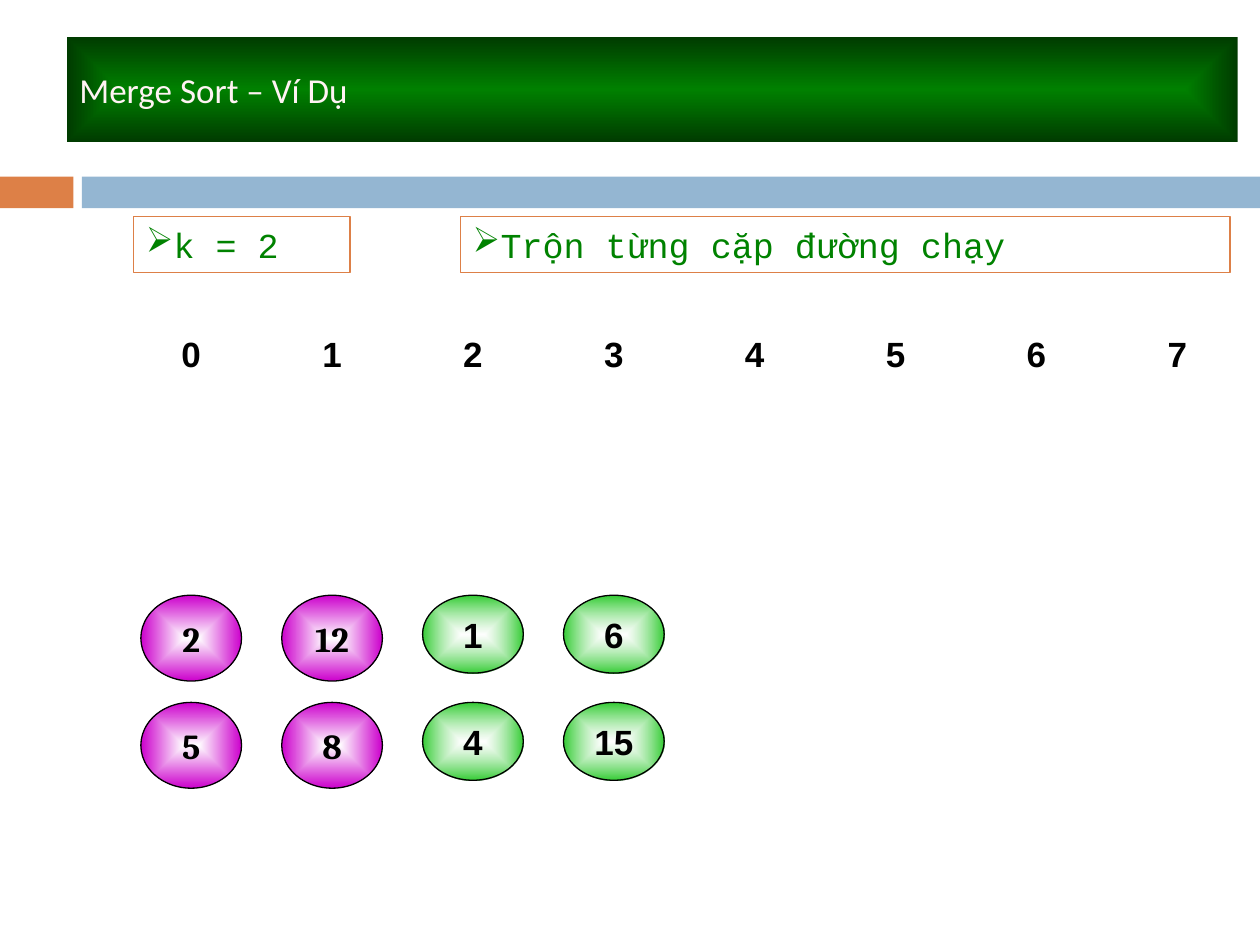
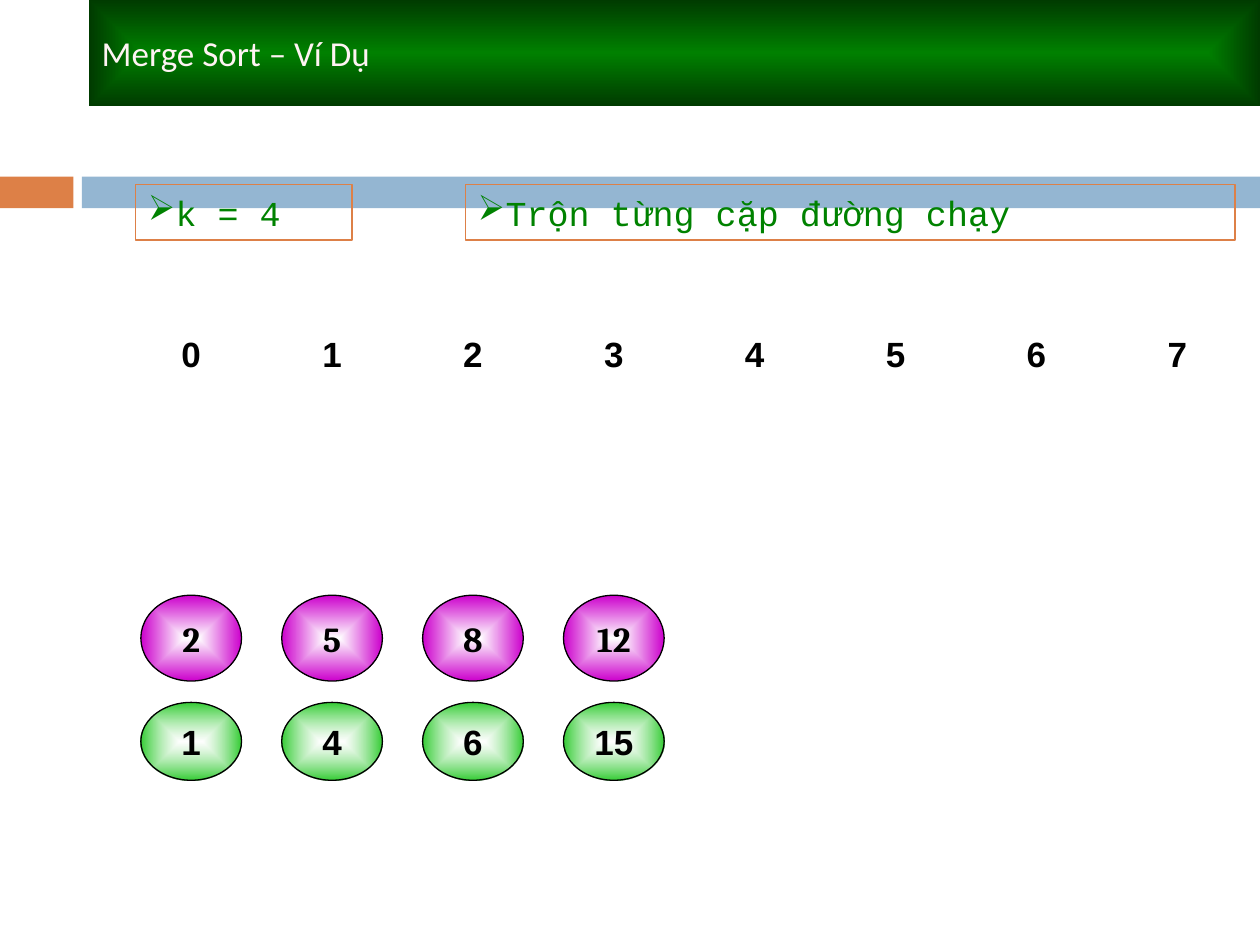
from dataclasses import dataclass
from typing import Optional

from lxml.etree import SubElement as Sub
from pptx import Presentation
from pptx.dml.color import RGBColor as Rgb
from pptx.enum.shapes import MSO_SHAPE as Kind
from pptx.enum.text import MSO_ANCHOR as Anchor, PP_ALIGN as Align
from pptx.oxml.ns import qn
from pptx.shapes.autoshape import Shape
from pptx.util import Cm, Pt

BLACK, ORANGE, BLUE = "000000", "DD8047", "94B6D2"
PALE, GREEN = "FFF3F3", "008200"
LEFT, STEP, WIDE = 2.84, 2.84, 2.03
ROWS = (12.0, 14.16)


@dataclass(frozen=True)
class Glow:
    """A gradient that runs from the centre to the edges."""
    inner: str
    outer: str
    alpha: int = 100


@dataclass(frozen=True)
class Run:
    """The look of the balls of one sorted run."""
    glow: Glow
    font: str
    high: float


@dataclass(frozen=True)
class Ball:
    """A number at a grid place, coloured by its run."""
    text: str
    col: int
    row: int
    run: Run


@dataclass(frozen=True)
class Page:
    """One merge step: where its title and notes sit, and its balls."""
    size: int
    title: tuple[float, float]
    notes: tuple[float, float]
    top: float
    balls: list[Ball]


BAR = Glow("008000", "003B00")
PINK = Run(Glow("FFFFFF", "CC00CC"), "Cambria", 1.73)
LIME = Run(Glow("FFFFFF", "33CC33", 60), "Arial", 1.57)


def tint(code: str) -> Rgb:
    """Turn a hex string into a colour."""
    return Rgb.from_string(code)


def shine(shape: Shape, glow: Glow) -> None:
    """Fill a shape with a rectangular gradient."""
    shape.fill.gradient()
    grad = shape._element.spPr.find(qn("a:gradFill"))
    for part in list(grad):
        grad.remove(part)
    stops = Sub(grad, qn("a:gsLst"))
    for pos, code, alpha in ((0, glow.inner, glow.alpha), (100, glow.outer, 100)):
        stop = Sub(stops, qn("a:gs"), pos=str(pos * 1000))
        paint = Sub(stop, qn("a:srgbClr"), val=code)
        if alpha < 100:
            Sub(paint, qn("a:alpha"), val=str(alpha * 1000))
    way = Sub(grad, qn("a:path"), path="rect")
    Sub(way, qn("a:fillToRect"), l="50000", t="50000", r="50000", b="50000")


def draw(shapes, kind: Kind, x: float, y: float, w: float, h: float,
         fill: Optional[str | Glow] = None, line: Optional[str] = None) -> Shape:
    """Add a preset shape with its fill and line, in centimetres."""
    shape = shapes.add_shape(kind, Cm(x), Cm(y), Cm(w), Cm(h))
    shape.shadow.inherit = False
    if isinstance(fill, Glow):
        shine(shape, fill)
    elif fill:
        shape.fill.solid()
        shape.fill.fore_color.rgb = tint(fill)
    else:
        shape.fill.background()
    if line:
        shape.line.color.rgb = tint(line)
        shape.line.width = Pt(0.75)
    else:
        shape.line.fill.background()
    return shape


def write(shape: Shape, text: str, *, font: str = "Arial", color: str = BLACK,
          bold: bool = False, align: Align = Align.LEFT, wrap: bool = True,
          mark: str = "") -> None:
    """Put formatted text in a shape, with a bullet if one is given."""
    frame = shape.text_frame
    frame.word_wrap = wrap
    frame.vertical_anchor = Anchor.MIDDLE
    para = frame.paragraphs[0]
    para.alignment = align
    if mark:
        props = para._p.get_or_add_pPr()
        props.set("marL", "0")
        props.set("indent", "0")
        Sub(Sub(props, qn("a:buClr")), qn("a:srgbClr"), val=color)
        Sub(props, qn("a:buChar"), char=mark)
    run = para.add_run()
    run.text = text
    run.font.name = font
    run.font.size = Pt(20)
    run.font.bold = bold
    run.font.color.rgb = tint(color)


def label(shapes, text: str, col: int, top: float, high: float,
          font: str = "Arial", **look) -> None:
    """Draw a bold number in an oval at a grid column."""
    oval = draw(shapes, Kind.OVAL, LEFT + col * STEP, top, WIDE, high, **look)
    write(oval, text, font=font, bold=True, align=Align.CENTER, wrap=False)


def bands(shapes) -> None:
    """Draw the two bands that all slides share."""
    draw(shapes, Kind.RECTANGLE, 0, 3.56, 1.48, 0.64, ORANGE)
    draw(shapes, Kind.RECTANGLE, 1.65, 3.56, 23.75, 0.64, BLUE)


def build(deck, page: Page) -> None:
    """Build the slide of one merge step."""
    shapes = deck.slides.add_slide(deck.slide_layouts[6]).shapes
    bands(shapes)
    for ball in page.balls:
        label(shapes, ball.text, ball.col, ROWS[ball.row], ball.run.high,
              ball.run.font, fill=ball.run.glow, line=BLACK)
    index = shapes.add_group_shape().shapes
    for col in range(8):
        label(index, str(col), col, 6.35, 1.57)
    title = draw(shapes, Kind.RECTANGLE, *page.title, 23.6, 2.13, BAR)
    write(title, "Merge Sort – Ví Dụ", font="Calibri", color=PALE)
    texts = (f"k = {page.size}", "Trộn từng cặp đường chạy")
    for x, w, text in zip(page.notes, (4.37, 15.52), texts):
        note = draw(shapes, Kind.RECTANGLE, x, page.top, w, 1.12, line=ORANGE)
        write(note, text, font="Courier New", color=GREEN, mark="➢")


def grid(rows: list[str], runs: list[list[Run]]) -> list[Ball]:
    """Place rows of numbers, each with the run it belongs to."""
    return [Ball(text, col, row, runs[row][col])
            for row, line in enumerate(rows)
            for col, text in enumerate(line.split())]


def main() -> None:
    """Build and save the deck."""
    pairs = [[PINK] * 2 + [LIME] * 2] * 2
    fours = [[PINK] * 4, [LIME] * 4]
    pages = [
        Page(2, (1.35, 0.74), (2.69, 9.28), 4.37,
             grid(["2 12 1 6", "5 8 4 15"], pairs)),
        Page(4, (1.8, 0), (2.73, 9.38), 3.72,
             grid(["2 5 8 12", "1 4 6 15"], fours)),
    ]
    deck = Presentation()
    deck.slide_width, deck.slide_height = Cm(25.4), Cm(19.05)
    for page in pages:
        build(deck, page)
    deck.save("out.pptx")


if __name__ == "__main__":
    main()
